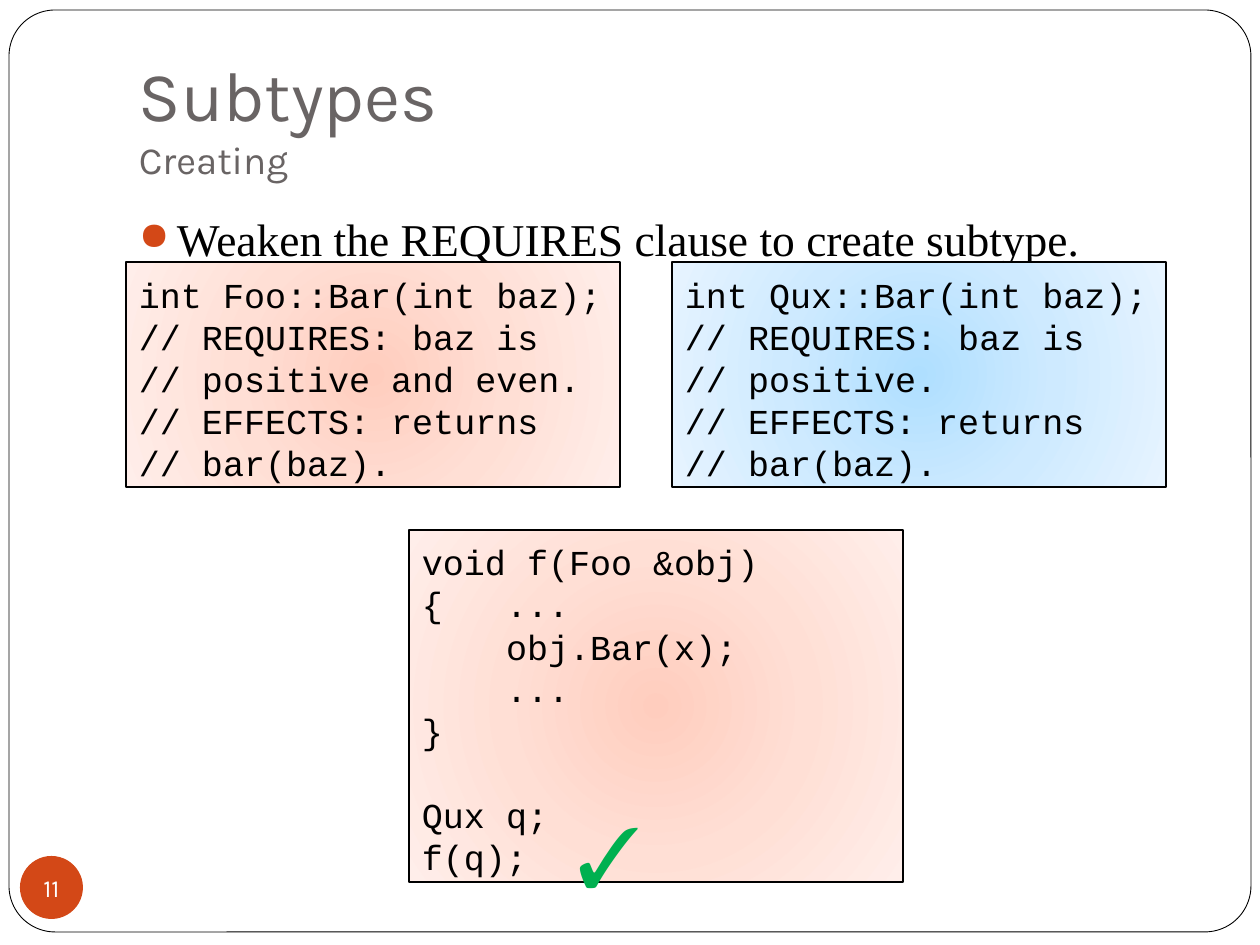
import pptx
import pptx.dml.color
import pptx.enum.shapes
import pptx.enum.text
import pptx.oxml
import pptx.oxml.ns
import pptx.util

EMU_PER_PX = 914400 / 126
BLACK = pptx.dml.color.RGBColor(0x00, 0x00, 0x00)
WHITE = pptx.dml.color.RGBColor(0xFF, 0xFF, 0xFF)
GRAY = pptx.dml.color.RGBColor(0x69, 0x64, 0x64)
ORANGE = pptx.dml.color.RGBColor(0xD3, 0x48, 0x17)
GREEN = pptx.dml.color.RGBColor(0x00, 0xB0, 0x50)
PEACH = [
    pptx.dml.color.RGBColor(0xFF, 0xCD, 0xBE),
    pptx.dml.color.RGBColor(0xFF, 0xDF, 0xD5),
    pptx.dml.color.RGBColor(0xFF, 0xEE, 0xEA),
]
SKY = [
    pptx.dml.color.RGBColor(0xAF, 0xDF, 0xFF),
    pptx.dml.color.RGBColor(0xCE, 0xEA, 0xFF),
    pptx.dml.color.RGBColor(0xE7, 0xF4, 0xFF),
]
HEADING_FONT = "Karla"
BODY_FONT = "Times New Roman"
CODE_FONT = "Courier New"
CODE_WIDTH = 494
CODE_LINE = pptx.util.Pt(24)
SHAPES = pptx.enum.shapes.MSO_SHAPE
ANCHOR = pptx.enum.text.MSO_ANCHOR


def px(length):
    return pptx.util.Emu(round(length * EMU_PER_PX))


def add_run(paragraph, text, size, font, color):
    run = paragraph.add_run()
    run.text = text
    run.font.size = pptx.util.Pt(size)
    run.font.name = font
    run.font.color.rgb = color


def set_frame(frame, wrap=True, anchor=ANCHOR.TOP, insets=(13, 6, 13, 6)):
    frame.word_wrap = wrap
    frame.vertical_anchor = anchor
    frame.margin_left, frame.margin_top, frame.margin_right, frame.margin_bottom = map(px, insets)


def add_text_box(slide, box, **frame_options):
    frame = slide.shapes.add_textbox(*map(px, box)).text_frame
    set_frame(frame, **frame_options)
    return frame.paragraphs[0]


def add_shape(slide, kind, box, fill=None, line_width=None):
    shape = slide.shapes.add_shape(kind, *map(px, box))
    shape.shadow.inherit = False
    if fill is not None:
        shape.fill.solid()
        shape.fill.fore_color.rgb = fill
    if line_width is None:
        shape.line.fill.background()
    else:
        shape.line.color.rgb = BLACK
        shape.line.width = pptx.util.Pt(line_width)
    return shape


def fill_radially(shape, colors):
    stops = "".join(
        f'<a:gs pos="{50000 * index}"><a:srgbClr val="{color}"/></a:gs>'
        for index, color in enumerate(colors)
    )
    gradient = pptx.oxml.parse_xml(
        f'<a:gradFill {pptx.oxml.ns.nsdecls("a")} rotWithShape="1"><a:gsLst>{stops}</a:gsLst>'
        '<a:path path="circle"><a:fillToRect l="50000" t="50000" r="50000" b="50000"/></a:path>'
        "</a:gradFill>"
    )
    geometry = shape.element.spPr.find(pptx.oxml.ns.qn("a:prstGeom"))
    geometry.addnext(gradient)


def add_bullet(paragraph, color):
    properties = paragraph._p.get_or_add_pPr()
    properties.set("marL", str(px(38)))
    properties.set("indent", str(-px(38)))
    for xml in (
        f'<a:buClr {{}}><a:srgbClr val="{color}"/></a:buClr>',
        '<a:buSzPct {} val="85000"/>',
        '<a:buChar {} char="●"/>',
    ):
        properties.append(pptx.oxml.parse_xml(xml.format(pptx.oxml.ns.nsdecls("a"))))


def add_code_box(slide, left, top, height, colors, blocks):
    shape = add_shape(slide, SHAPES.RECTANGLE, (left, top, CODE_WIDTH, height), line_width=0.75)
    fill_radially(shape, colors)
    frame = shape.text_frame
    set_frame(frame, insets=(13, 11, 13, 0))
    for block_index, block in enumerate(blocks):
        for line_index, line in enumerate(block):
            first = block_index == line_index == 0
            paragraph = frame.paragraphs[0] if first else frame.add_paragraph()
            paragraph.alignment = pptx.enum.text.PP_ALIGN.LEFT
            paragraph.line_spacing = CODE_LINE
            if block_index and not line_index:
                paragraph.space_before = CODE_LINE
            add_run(paragraph, line, 20, CODE_FONT, BLACK)


def add_method_box(slide, left, colors, type_name, requirement):
    lines = [
        f"int {type_name}::Bar(int baz);",
        "// REQUIRES: baz is",
        *requirement,
        "// EFFECTS: returns",
        "// bar(baz).",
    ]
    add_code_box(slide, left, 262, 225, colors, [lines])


def add_page_number(slide):
    circle = add_shape(slide, SHAPES.OVAL, (20, 856, 63, 63), fill=ORANGE)
    set_frame(circle.text_frame, wrap=False, anchor=ANCHOR.MIDDLE, insets=(0, 0, 0, 0))
    paragraph = circle.text_frame.paragraphs[0]
    paragraph.alignment = pptx.enum.text.PP_ALIGN.CENTER
    add_run(paragraph, "11", 14, HEADING_FONT, WHITE)


def main():
    presentation = pptx.Presentation()
    presentation.slide_width = px(1260)
    presentation.slide_height = px(945)
    slide = presentation.slides.add_slide(presentation.slide_layouts[6])

    border = add_shape(slide, SHAPES.ROUNDED_RECTANGLE, (9, 10, 1242, 922), WHITE, 0.5)
    border.adjustments[0] = 0.05

    title = add_text_box(slide, (126, 38, 1071, 157), anchor=ANCHOR.BOTTOM, insets=(13, 6, 13, 13))
    add_run(title, "Subtypes", 40, HEADING_FONT, GRAY)
    title.add_line_break()
    add_run(title, "Creating", 22, HEADING_FONT, GRAY)

    add_page_number(slide)

    body = add_text_box(slide, (126, 199, 1071, 672), insets=(13, 12, 13, 6))
    add_bullet(body, ORANGE)
    add_run(body, "Weaken the REQUIRES clause to create subtype.", 26, BODY_FONT, BLACK)

    add_method_box(slide, 126, PEACH, "Foo", ["// positive and even."])
    add_method_box(slide, 672, SKY, "Qux", ["// positive."])
    caller = ["void f(Foo &obj)", "{   ...", "    obj.Bar(x);", "    ...", "}"]
    add_code_box(slide, 409, 530, 352, PEACH, [caller, ["Qux q;", "f(q);"]])

    check = add_text_box(slide, (564, 798, 92, 115), wrap=False)
    add_run(check, "✓", 48, BODY_FONT, GREEN)

    presentation.save("out.pptx")


if __name__ == "__main__":
    main()
